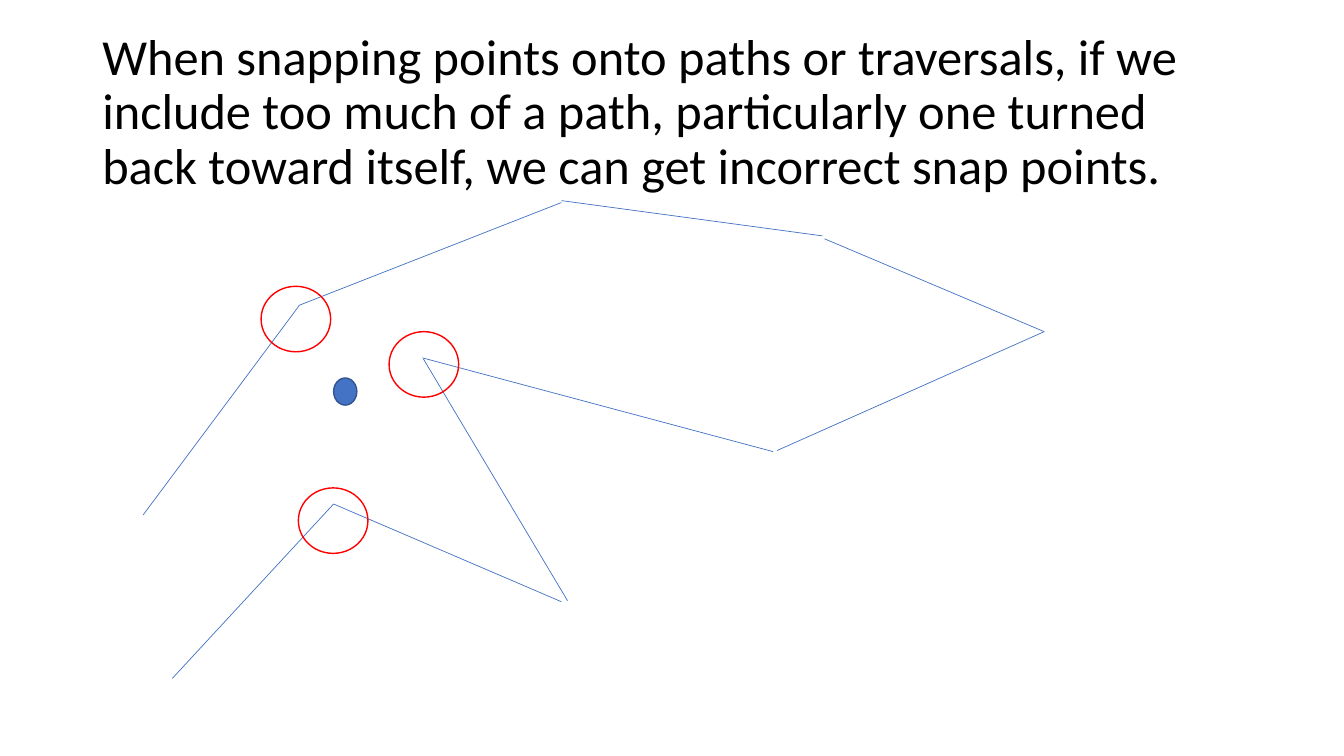
from typing import NamedTuple, Optional

from lxml import etree
from pptx import Presentation
from pptx import util as u
from pptx.dml.color import RGBColor
from pptx.enum import shapes, text
from pptx.oxml.ns import qn

BLUE, DARK_BLUE, RED, BLACK = "4472C4", "325491", "FF0000", "000000"
RING_SIZE = (49.7, 46.8)
TITLE = ("When snapping points onto paths or traversals, if we include too much "
         "of a path, particularly one turned back toward itself, we can get "
         "incorrect snap points.")


class Segment(NamedTuple):
    x1: float
    y1: float
    x2: float
    y2: float


class Oval(NamedTuple):
    x: float
    y: float
    w: float
    h: float
    line: str
    fill: Optional[str] = None


PATH = [
    Segment(238.3, 360, 123.1, 484.6),
    Segment(238.3, 360, 401, 429.8),
    Segment(405.4, 429.1, 302.4, 256.3),
    Segment(301.7, 255.6, 552.2, 322.6),
    Segment(555.1, 321.8, 745.9, 236.9),
    Segment(745.9, 236.9, 589, 170.6),
    Segment(587.5, 168.5, 401, 143.3),
    Segment(401, 144.7, 213.4, 218.2),
    Segment(213.8, 218.2, 102.2, 367.9),
]
SNAP_CANDIDATES = [(277.9, 236.9), (213.1, 348.5), (186.5, 204.5)]
OVALS = [Oval(238.3, 270, 16.6, 19.4, DARK_BLUE, BLUE)]
OVALS += [Oval(x, y, *RING_SIZE, RED) for x, y in SNAP_CANDIDATES]


def color(value: str) -> RGBColor:
    return RGBColor.from_string(value)


def add_title(s) -> None:
    tf = s.shapes.add_textbox(u.Pt(66), u.Pt(28.8), u.Pt(828), u.Pt(104.4)).text_frame
    frame_format = {"word_wrap": True, "auto_size": text.MSO_AUTO_SIZE.NONE,
                    "vertical_anchor": text.MSO_ANCHOR.MIDDLE}
    for name, value in frame_format.items():
        setattr(tf, name, value)
    p = tf.paragraphs[0]
    p.line_spacing = 0.9
    r = p.add_run()
    r.text = TITLE
    for name, value in {"name": "Calibri", "size": u.Pt(36)}.items():
        setattr(r.font, name, value)
    r.font.color.rgb = color(BLACK)


def add_segment(s, seg: Segment) -> None:
    sp = s.shapes.add_connector(shapes.MSO_CONNECTOR.STRAIGHT, *map(u.Pt, seg))
    sp.line.width = u.Pt(0.5)
    sp.line.color.rgb = color(BLUE)
    etree.SubElement(sp._element.spPr, qn("a:effectLst"))


def add_oval(s, oval: Oval) -> None:
    sp = s.shapes.add_shape(shapes.MSO_SHAPE.OVAL, *map(u.Pt, oval[:4]))
    sp.shadow.inherit = False
    sp.line.width = u.Pt(1)
    sp.line.color.rgb = color(oval.line)
    if oval.fill:
        sp.fill.solid()
        sp.fill.fore_color.rgb = color(oval.fill)
    else:
        sp.fill.background()


def main() -> None:
    prs = Presentation()
    prs.slide_width, prs.slide_height = u.Pt(960), u.Pt(540)
    s = prs.slides.add_slide(prs.slide_layouts[6])
    add_title(s)
    for seg in PATH:
        add_segment(s, seg)
    for oval in OVALS:
        add_oval(s, oval)
    prs.save("out.pptx")


if __name__ == "__main__":
    main()
